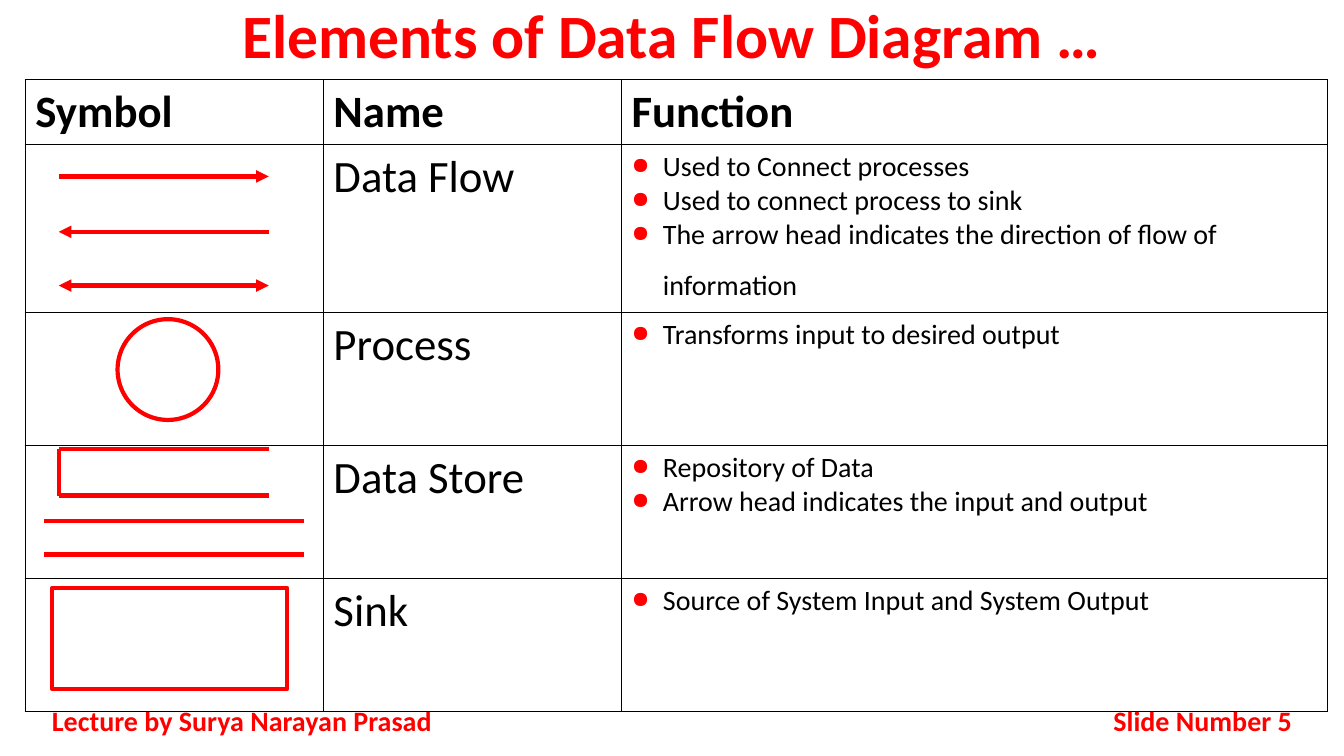
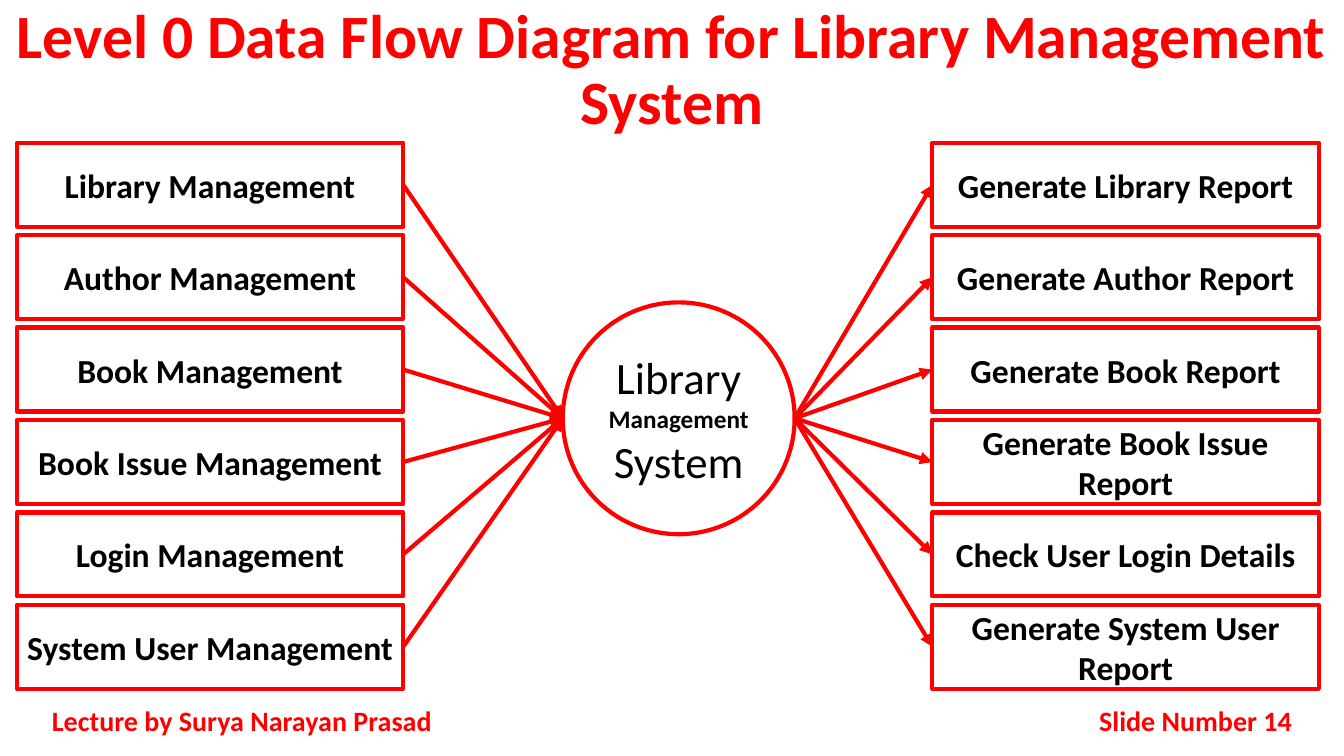
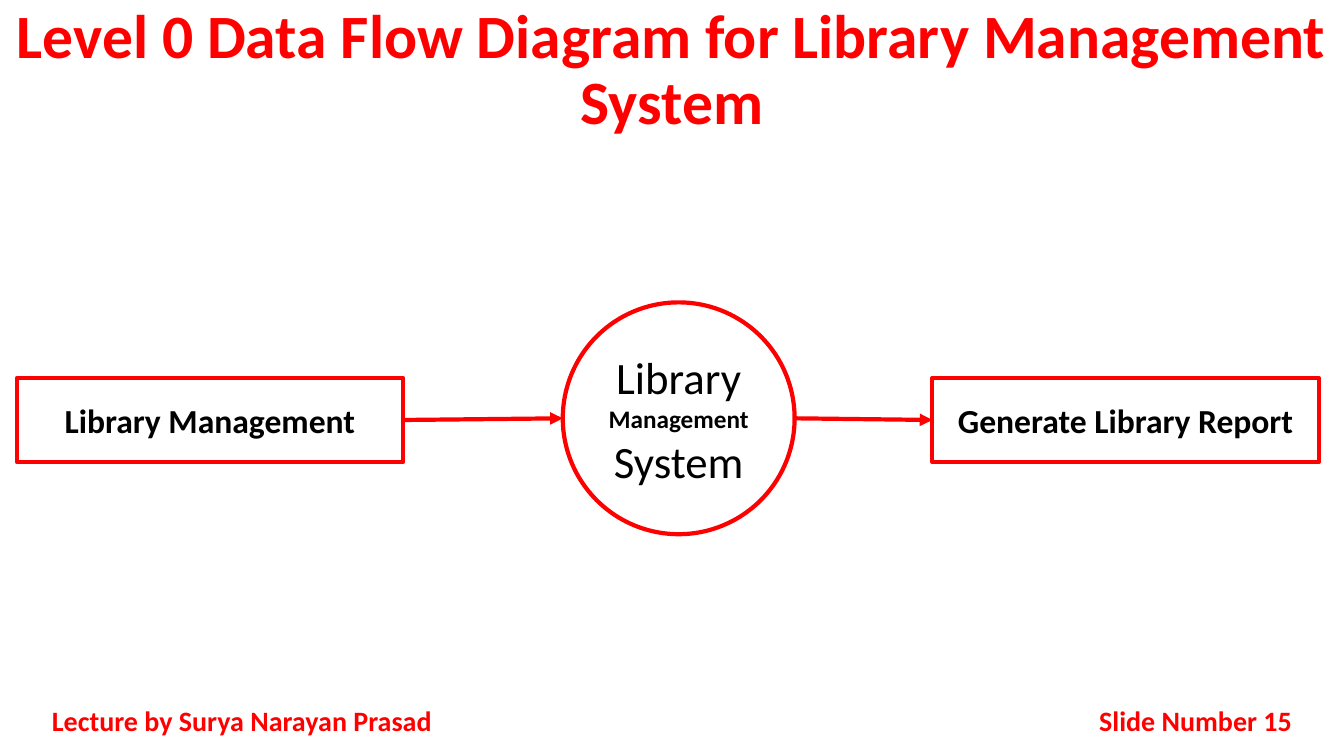
"""Build three lecture slides on data flow diagrams."""
from lxml.etree import SubElement
from pptx import Presentation
from pptx.dml.color import RGBColor
from pptx.enum.shapes import MSO_CONNECTOR, MSO_SHAPE
from pptx.enum.text import MSO_ANCHOR, PP_ALIGN
from pptx.oxml.ns import qn
from pptx.util import Inches, Pt

RED = RGBColor(0xFF, 0x00, 0x00)
BLACK = RGBColor(0x00, 0x00, 0x00)
COLUMNS, ROWS = 160, 90
HEIGHT = Inches(7.5)
WIDTH = HEIGHT * 16 // 9

TITLE = dict(size=Pt(44), bold=True)
FOOTER = dict(size=Pt(20), bold=True)
HEADING = dict(size=Pt(32), bold=True)
LARGE = dict(size=Pt(32), bold=False)
BODY = dict(size=Pt(20), bold=False)
BOX = dict(size=Pt(24), bold=True)
SMALL = dict(size=Pt(18), bold=True)

BOX_WIDTH, BOX_HEIGHT, BOX_STEP = 46, 10, 11
LEFT_BOX, RIGHT_BOX = 2, 111
CIRCLE_LEFT, CIRCLE_TOP, CIRCLE_SIZE = 67, 36, 27.6


class Deck:
    """Hold the shared style and the current slide, placing elements in grid units."""

    def __init__(self):
        self.presentation = Presentation()
        self.presentation.slide_width = WIDTH
        self.presentation.slide_height = HEIGHT
        self.slide = None

    def grid(self, left, top, width, height):
        """Turn columns and rows into slide lengths."""
        across, down = WIDTH / COLUMNS, HEIGHT / ROWS
        return [round(v) for v in (left * across, top * down, width * across, height * down)]

    def add_slide(self, title, number, title_rows):
        """Start a slide with its title and footer."""
        self.slide = self.presentation.slides.add_slide(self.presentation.slide_layouts[6])
        heading = self.text((0, 0, COLUMNS, title_rows), title, TITLE, PP_ALIGN.CENTER, MSO_ANCHOR.TOP)
        heading.line_spacing = 0.9
        self.text((5, 83.4, 50, 4.8), "Lecture by Surya Narayan Prasad", FOOTER, PP_ALIGN.JUSTIFY)
        self.text((122, 83.4, 33, 4.8), f"Slide Number {number}", FOOTER, PP_ALIGN.RIGHT)

    def add_runs(self, paragraph, runs, color=BLACK):
        """Add runs, each a text and its format, to a paragraph."""
        for words, style in runs:
            run = paragraph.add_run()
            run.text = words
            for name, value in dict(name="Calibri", **style).items():
                setattr(run.font, name, value)
            run.font.color.rgb = color

    def text(self, place, words, style, alignment, anchor=MSO_ANCHOR.MIDDLE):
        """Add a red text box and return its paragraph."""
        frame = self.slide.shapes.add_textbox(*self.grid(*place)).text_frame
        frame.word_wrap = True
        frame.vertical_anchor = anchor
        paragraph = frame.paragraphs[0]
        paragraph.alignment = alignment
        self.add_runs(paragraph, [(words, style)], RED)
        return paragraph

    def outline(self, kind, place, runs=()):
        """Add an unfilled red shape with centred text."""
        shape = self.slide.shapes.add_shape(kind, *self.grid(*place))
        shape.shadow.inherit = False
        shape.fill.background()
        shape.line.color.rgb = RED
        shape.line.width = Pt(3)
        shape.text_frame.vertical_anchor = MSO_ANCHOR.MIDDLE
        paragraph = shape.text_frame.paragraphs[0]
        paragraph.alignment = PP_ALIGN.CENTER
        self.add_runs(paragraph, runs)

    def line(self, start, end, *arrows):
        """Add a red line with arrowheads at the named ends."""
        ends = self.grid(*start, *end)
        connector = self.slide.shapes.add_connector(MSO_CONNECTOR.STRAIGHT, *ends)
        connector.line.color.rgb = RED
        connector.line.width = Pt(3)
        properties = connector._element.spPr
        for arrow in arrows:
            SubElement(properties.find(qn("a:ln")), qn(f"a:{arrow}"), type="triangle")
        SubElement(properties, qn("a:effectLst"))

    def bullet(self, paragraph):
        """Give a paragraph a red round bullet."""
        properties = paragraph._p.get_or_add_pPr()
        properties.set("marL", str(Inches(0.31)))
        properties.set("indent", str(-Inches(0.31)))
        color = SubElement(properties, qn("a:buClr"))
        SubElement(color, qn("a:srgbClr"), val=str(RED))
        SubElement(properties, qn("a:buSzPct"), val="81000")
        SubElement(properties, qn("a:buChar"), char="●")

    def cell(self, cell, paragraphs, bulleted):
        """Border a clear table cell and fill in its paragraphs."""
        properties = cell._tc.get_or_add_tcPr()
        for side in "LRTB":
            border = SubElement(properties, qn(f"a:ln{side}"), w=str(Pt(1)))
            fill = SubElement(border, qn("a:solidFill"))
            SubElement(fill, qn("a:srgbClr"), val=str(BLACK))
        cell.fill.background()
        frame = cell.text_frame
        for index, runs in enumerate(paragraphs):
            paragraph = frame.add_paragraph() if index else frame.paragraphs[0]
            if bulleted:
                self.bullet(paragraph)
            self.add_runs(paragraph, runs)

    def table(self, left, top, widths, heights, content):
        """Add a bordered table whose last column is bulleted below the header."""
        place = self.grid(left, top, sum(widths), sum(heights))
        table = self.slide.shapes.add_table(len(heights), len(widths), *place).table
        table.first_row = table.horz_banding = False
        for column, width in zip(table.columns, widths):
            column.width = self.grid(width, 0, 0, 0)[0]
        for row, height in zip(table.rows, heights):
            row.height = self.grid(0, height, 0, 0)[1]
        for i, row in enumerate(content):
            for j, paragraphs in enumerate(row):
                self.cell(table.cell(i, j), paragraphs, i > 0 and j == len(widths) - 1)

    def system(self, inputs, outputs, top):
        """Draw the library process between its input and output boxes."""
        middle = CIRCLE_TOP + CIRCLE_SIZE / 2
        self.outline(MSO_SHAPE.OVAL, (CIRCLE_LEFT, CIRCLE_TOP, CIRCLE_SIZE, CIRCLE_SIZE),
                     [("Library ", LARGE), ("Management ", SMALL), ("System", LARGE)])
        for index, labels in enumerate(zip(inputs, outputs)):
            box_top = top + index * BOX_STEP
            center = box_top + BOX_HEIGHT / 2
            for left, label in zip((LEFT_BOX, RIGHT_BOX), labels):
                self.outline(MSO_SHAPE.RECTANGLE, (left, box_top, BOX_WIDTH, BOX_HEIGHT), [(label, BOX)])
            self.line((LEFT_BOX + BOX_WIDTH, center), (CIRCLE_LEFT, middle), "tailEnd")
            self.line((CIRCLE_LEFT + CIRCLE_SIZE, middle), (RIGHT_BOX, center), "tailEnd")


def elements_slide(deck):
    """Build the table of diagram symbols."""
    deck.add_slide("Elements of Data Flow Diagram …", 5, 10)
    functions = {
        "Data Flow": ["Used to Connect processes", "Used to connect process to sink",
                      "The arrow head indicates the direction of flow of information"],
        "Process": ["Transforms input to desired output"],
        "Data Store": ["Repository of Data", "Arrow head indicates the input and output"],
        "Sink": ["Source of System Input and System Output"],
    }
    content = [[[[(word, HEADING)]] for word in ("Symbol", "Name", "Function")]]
    for name, lines in functions.items():
        content.append([[], [[(name, LARGE)]], [[(line, BODY)] for line in lines]])
    content[1][2][-1].append((" ", LARGE))
    deck.table(3, 9.5, (35.5, 35.5, 84), (7.7, 20, 15.84, 15.84, 15.84), content)

    near, far = 7, 32
    deck.line((near, 21), (far, 21), "tailEnd")
    deck.line((far, 27.6), (near, 27.6), "tailEnd")
    deck.line((far, 34), (near, 34), "headEnd", "tailEnd")
    deck.outline(MSO_SHAPE.OVAL, (14, 38, 12, 12))
    store_top, store_bottom = 53.5, 59
    for row in (store_top, store_bottom):
        deck.line((near, row), (far, row))
    deck.line((near, store_top), (near, store_bottom))
    for row in (62, 66):
        deck.line((5.2, row), (36.2, row))
    deck.outline(MSO_SHAPE.RECTANGLE, (6.2, 70, 28, 12))


def main():
    """Build and save the presentation."""
    deck = Deck()
    elements_slide(deck)
    title = "Level 0 Data Flow Diagram for Library Management System"
    inputs = [f"{name} Management" for name in
              ("Library", "Author", "Book", "Book Issue", "Login", "System User")]
    outputs = ["Generate Library Report", "Generate Author Report", "Generate Book Report",
               "Generate Book Issue Report", "Check User Login Details",
               "Generate System User Report"]
    for number, count, top in ((14, 6, 17), (15, 1, 45)):
        deck.add_slide(title, number, 16)
        deck.system(inputs[:count], outputs[:count], top)
    deck.presentation.save("out.pptx")


if __name__ == "__main__":
    main()
